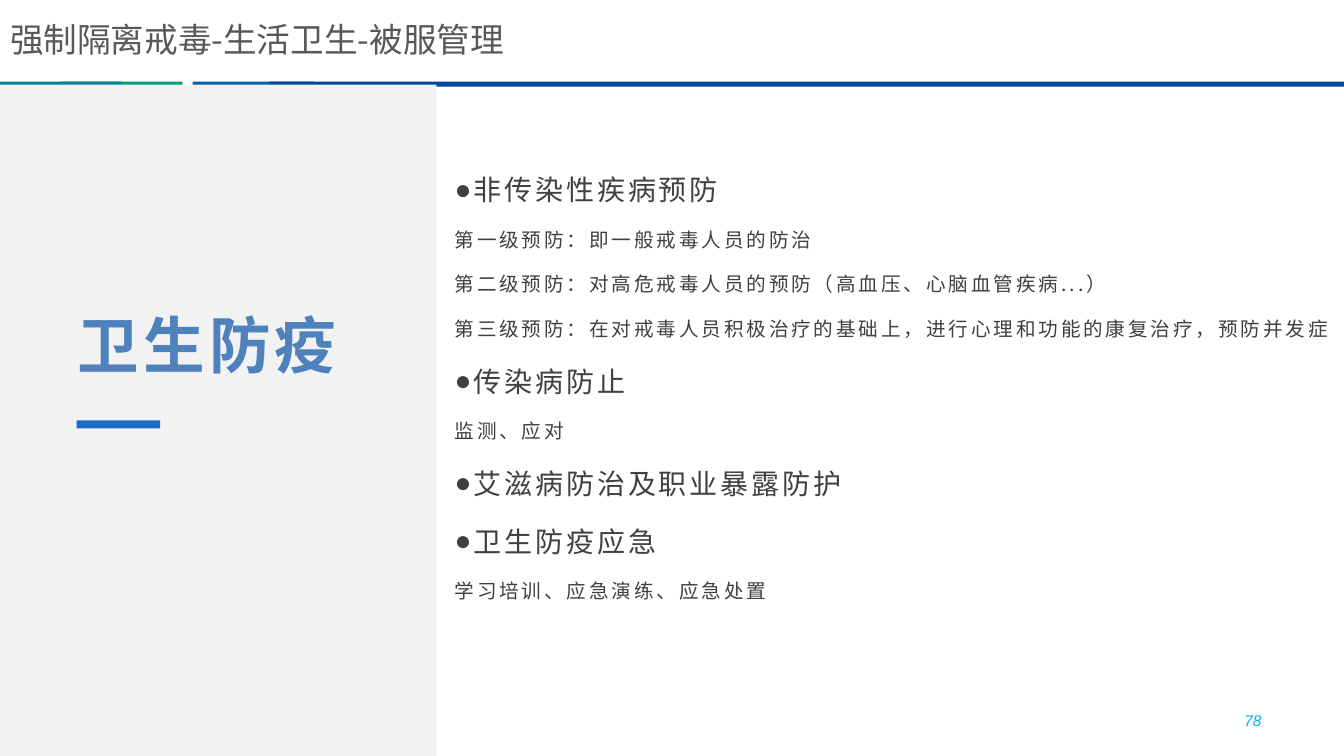
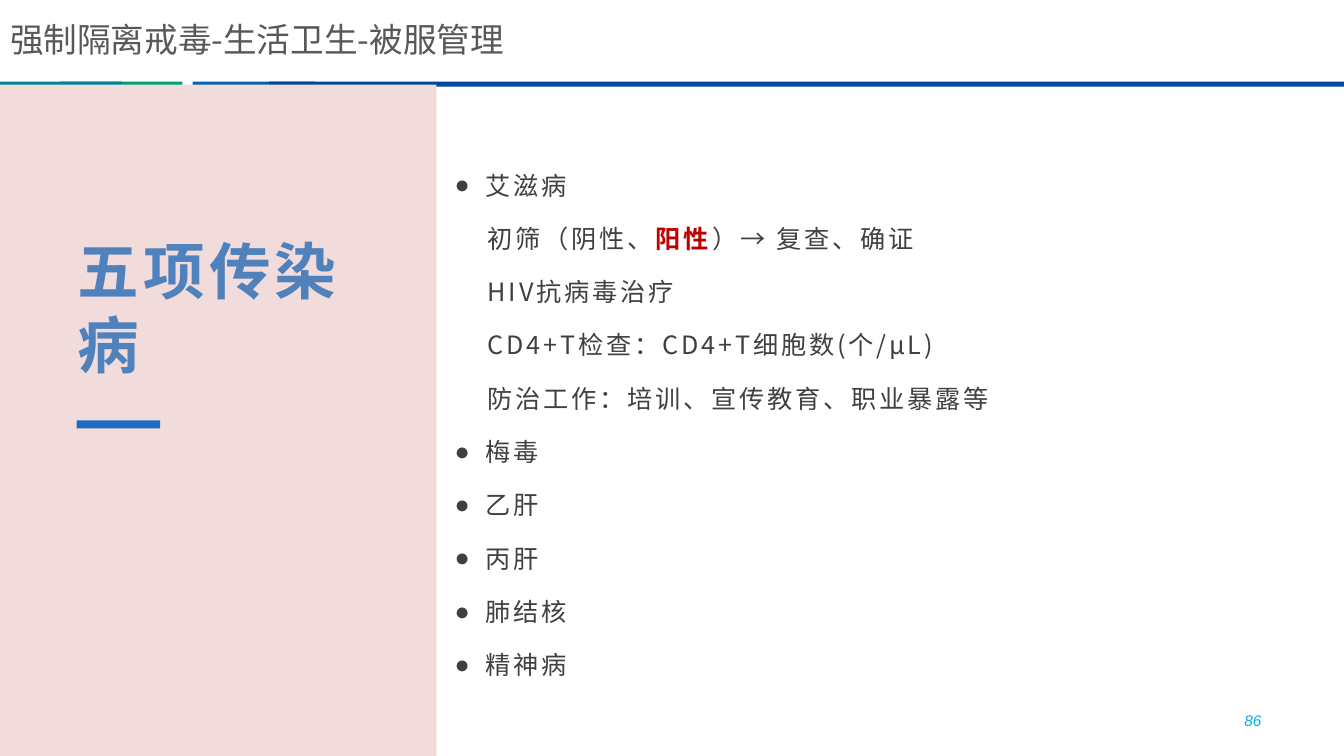
"""Build two slides on hygiene and disease control."""
from dataclasses import dataclass

from lxml.etree import SubElement
from pptx import Presentation
from pptx.dml.color import RGBColor as Rgb
from pptx.enum.shapes import MSO_SHAPE as Shape
from pptx.enum.text import MSO_ANCHOR as Anchor, MSO_AUTO_SIZE as Auto, PP_ALIGN as Align
from pptx.oxml.ns import qn
from pptx.slide import Slide
from pptx.text.text import TextFrame
from pptx.util import Inches, Length, Pt

Box = tuple[float, float, float, float]


@dataclass(frozen=True)
class Theme:
    """Hold the shared fonts, type sizes and colours."""
    font: str = "Noto Sans CJK SC"
    latin: str = "Arial"
    title: int = 24
    head: int = 44
    large: int = 20
    list: int = 18
    small: int = 14
    page: int = 11
    gray: str = "595757"
    ink: str = "404040"
    blue: str = "4F81BD"
    mark: str = "1D6DC2"
    cyan: str = "00B0F0"
    red: str = "C00000"
    plain: str = "F2F2F2"
    pink: str = "F2DCDB"


@dataclass(frozen=True)
class Line:
    """Describe one body paragraph; hot is the part to stress."""
    text: str
    size: int
    bullet: bool = False
    left: float = 0
    hot: str = ""


@dataclass(frozen=True)
class Topic:
    """Describe what differs between the slides."""
    head: str
    panel: str
    page: str
    tall: float
    lines: list[Line]


@dataclass(frozen=True)
class Band:
    """Describe one piece of the rule under the title."""
    left: float
    width: float
    color: str


THEME = Theme()
TITLE = "强制隔离戒毒-生活卫生-被服管理"
BANDS = [
    Band(0.6, 1.21, "00A073"),
    Band(1.91, 1.21, "0062AD"),
    Band(2.67, 10.67, "00479D"),
    Band(0, 1.21, "00819C"),
]


def point(text: str) -> Line:
    """Make a large bullet line."""
    return Line(text, THEME.large, True, 0.19)


def note(text: str) -> Line:
    """Make a small plain line."""
    return Line(text, THEME.small)


def item(text: str) -> Line:
    """Make a bullet line of the disease list."""
    return Line(text, THEME.list, True, 0.31)


def detail(text: str, hot: str = "") -> Line:
    """Make an indented line of the disease list."""
    return Line(text, THEME.list, left=0.33, hot=hot)


TOPICS = [
    Topic("卫生防疫", THEME.plain, "78", 5.91, [
        point("非传染性疾病预防"),
        note("第一级预防：即一般戒毒人员的防治"),
        note("第二级预防：对高危戒毒人员的预防（高血压、心脑血管疾病...）"),
        note("第三级预防：在对戒毒人员积极治疗的基础上，进行心理和功能的康复治疗，预防并发症"),
        point("传染病防止"),
        note("监测、应对"),
        point("艾滋病防治及职业暴露防护"),
        point("卫生防疫应急"),
        note("学习培训、应急演练、应急处置"),
    ]),
    Topic("五项传染病", THEME.pink, "86", 6.66, [
        item("艾滋病"),
        detail("初筛（阴性、阳性）→ 复查、确证", "阳性"),
        detail("HIV抗病毒治疗"),
        detail("CD4+T检查：CD4+T细胞数(个/μL)"),
        detail("防治工作：培训、宣传教育、职业暴露等"),
        *map(item, ["梅毒", "乙肝", "丙肝", "肺结核", "精神病"]),
    ]),
]


def place(box: Box) -> list[Length]:
    """Turn a box in inches into lengths."""
    return [Inches(side) for side in box]


def rect(slide: Slide, box: Box, color: str) -> None:
    """Draw a plain filled rectangle."""
    shape = slide.shapes.add_shape(Shape.RECTANGLE, *place(box))
    shape.shadow.inherit = False
    shape.fill.solid()
    shape.fill.fore_color.rgb = Rgb.from_string(color)
    shape.line.fill.background()


def frame(slide: Slide, box: Box, anchor: Anchor = Anchor.MIDDLE) -> TextFrame:
    """Add a wrapping text box and return its frame."""
    area = slide.shapes.add_textbox(*place(box)).text_frame
    area.word_wrap = True
    area.vertical_anchor = anchor
    return area


def write(para, text: str, *, size: int, color: str, font: str = THEME.font,
          bold: bool = False, italic: bool = False, gap: int = 0) -> None:
    """Add a run of text; gap is the letter spacing in points."""
    run = para.add_run()
    run.text = text
    face = run.font
    face.name, face.size, face.bold, face.italic = font, Pt(size), bold, italic
    face.color.rgb = Rgb.from_string(color)
    props = run._r.get_or_add_rPr()
    SubElement(props, qn("a:ea"), typeface=font)
    if gap:
        props.set("spc", str(gap * 100))


def fill_body(area: TextFrame, lines: list[Line]) -> None:
    """Write the body lines with their bullets and spacing."""
    for index, line in enumerate(lines):
        para = area.add_paragraph() if index else area.paragraphs[0]
        props = para._p.get_or_add_pPr()
        left = Inches(line.left)
        props.set("marL", str(left))
        props.set("indent", str(-left if line.bullet else 0))
        if line.bullet:
            SubElement(props, qn("a:buFont"), typeface=THEME.latin)
            SubElement(props, qn("a:buChar"), char="●")
        para.line_spacing = 1.3
        para.space_before = Pt(10 if index else 0)
        parts = line.text.partition(line.hot) if line.hot else (line.text,)
        for part in parts:
            hot = part == line.hot
            write(para, part, size=line.size, gap=2, bold=hot,
                  color=THEME.red if hot else THEME.ink)


def set_title(slide: Slide) -> None:
    """Move and format the title placeholder."""
    title = slide.shapes.title
    title.left, title.top, title.width, title.height = place((0, 0.12, 5.98, 0.54))
    area = title.text_frame
    area.auto_size = Auto.NONE
    area.vertical_anchor = Anchor.MIDDLE
    para = area.paragraphs[0]
    para.alignment = Align.LEFT
    write(para, TITLE, size=THEME.title, color=THEME.gray)


def build(slide: Slide, topic: Topic) -> None:
    """Draw one topic slide."""
    set_title(slide)
    for band in BANDS:
        rect(slide, (band.left, 0.81, band.width, 0.05), band.color)
    rect(slide, (0, 0.84, 4.33, 6.66), topic.panel)
    rect(slide, (0.76, 4.17, 0.83, 0.08), THEME.mark)
    head = frame(slide, (0.67, 1.33, 3, 2.5), Anchor.BOTTOM)
    write(head.paragraphs[0], topic.head, size=THEME.head, color=THEME.blue,
          bold=True, gap=3)
    fill_body(frame(slide, (4.41, 0.84, 8.92, topic.tall)), topic.lines)
    page = frame(slide, (9.5, 6.95, 3.11, 0.4)).paragraphs[0]
    page.alignment = Align.RIGHT
    write(page, topic.page, size=THEME.page, color=THEME.cyan, font=THEME.latin,
          italic=True)


def main() -> None:
    """Build and save the deck."""
    deck = Presentation()
    deck.slide_width, deck.slide_height = Inches(13.33), Inches(7.5)
    layout = deck.slide_layouts.get_by_name("Title Only")
    for topic in TOPICS:
        build(deck.slides.add_slide(layout), topic)
    deck.save("out.pptx")


if __name__ == "__main__":
    main()
